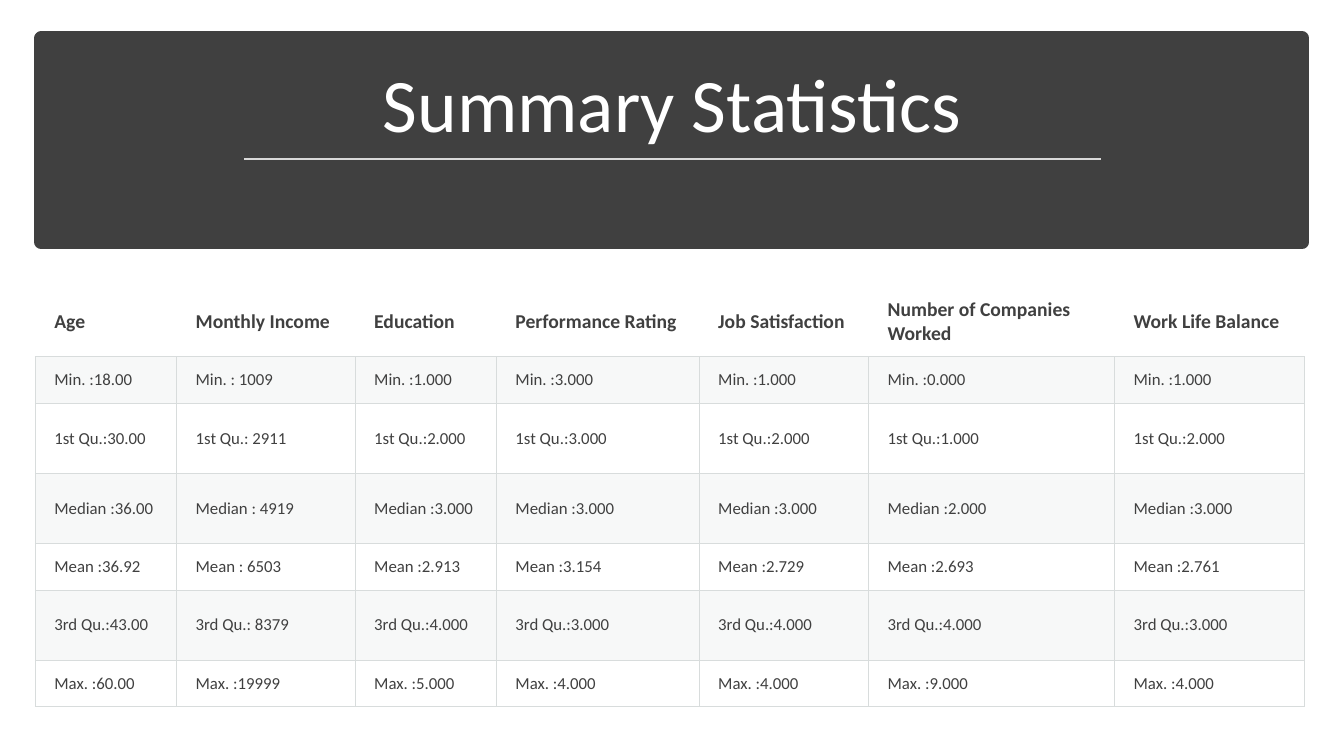
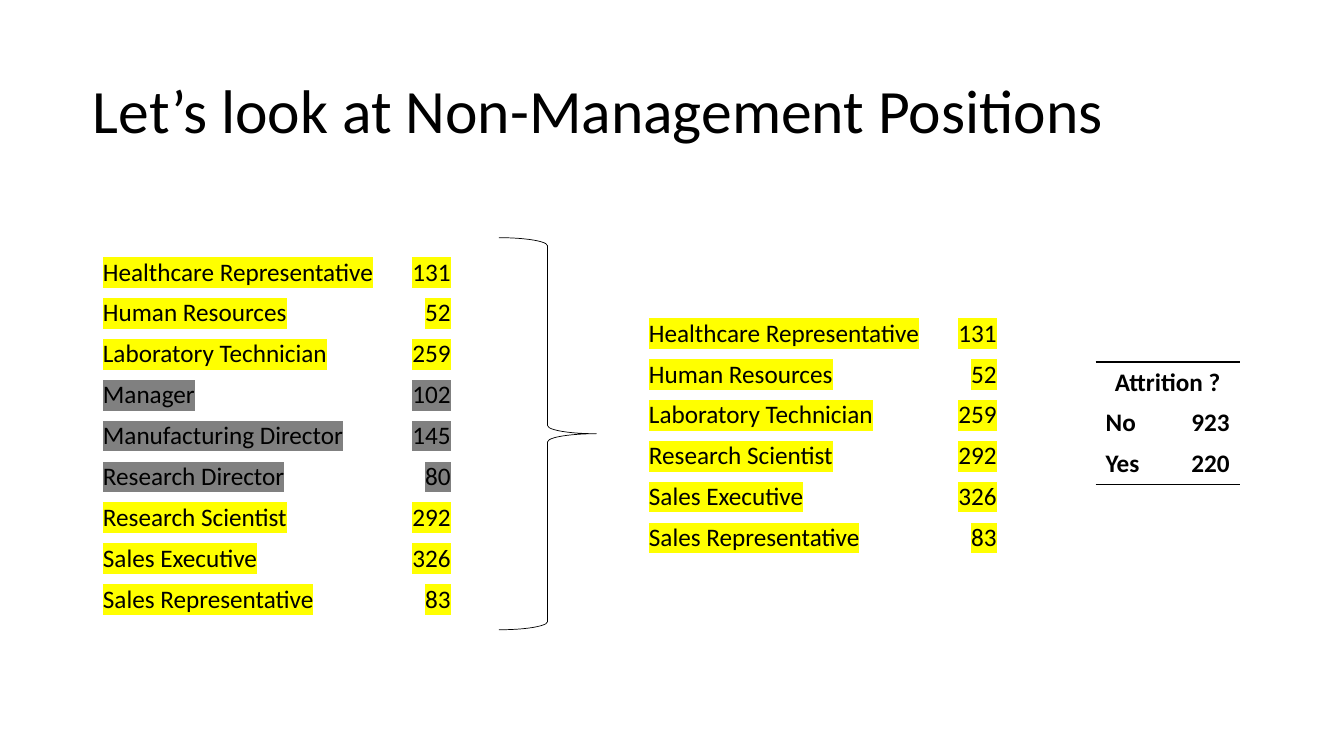
from lxml.etree import SubElement
from pptx import Presentation
from pptx.dml.color import RGBColor
from pptx.enum.shapes import MSO_CONNECTOR, MSO_SHAPE
from pptx.enum.text import MSO_ANCHOR as ANCHOR, MSO_AUTO_SIZE, PP_ALIGN as ALIGN
from pptx.oxml import parse_xml
from pptx.oxml.ns import nsdecls, qn
from pptx.util import Cm, Pt

FONT = "Calibri"
NO_STYLE = "{2D5ABB26-0587-4C30-8999-92F81FD0307C}"
COLORS = {
    "dark": "404040", "rule": "D9D9D9", "grid": "D8DCDC", "stripe": "D8DEDC",
    "white": "FFFFFF", "black": "000000", "kept": "FFFF00", "dropped": "808080",
}

STAT_LABELS = ["Min. ", "1st Qu.", "Median ", "Mean ", "3rd Qu.", "Max. "]
STATS = {
    "Age": ["18.00", "30.00", "36.00", "36.92", "43.00", "60.00"],
    "Monthly Income": [" 1009", " 2911", " 4919", " 6503", " 8379", "19999"],
    "Education": ["1.000", "2.000", "3.000", "2.913", "4.000", "5.000"],
    "Performance Rating": ["3.000", "3.000", "3.000", "3.154", "3.000", "4.000"],
    "Job Satisfaction": ["1.000", "2.000", "3.000", "2.729", "4.000", "4.000"],
    "Number of Companies Worked": ["0.000", "1.000", "2.000", "2.693", "4.000", "9.000"],
    "Work Life Balance": ["1.000", "2.000", "3.000", "2.761", "3.000", "4.000"],
}
STAT_WIDTHS = [3.56, 4.5, 3.56, 5.11, 4.27, 6.2, 4.78]
STAT_HEIGHTS = [1.75, 1.17, 1.77, 1.77, 1.17, 1.77, 1.17]

JOBS = {
    "Healthcare Representative": 131, "Human Resources": 52,
    "Laboratory Technician": 259, "Manager": 102, "Manufacturing Director": 145,
    "Research Director": 80, "Research Scientist": 292, "Sales Executive": 326,
    "Sales Representative": 83,
}
MANAGEMENT = {"Manager", "Manufacturing Director", "Research Director"}
LIST_WIDTHS = [7.47, 1.8]
LIST_ROW = 1.03


def rgb(name):
    """Return the named colour."""
    return RGBColor.from_string(COLORS[name])


def style_runs(p, size, color, bold=False):
    """Format every run of a paragraph."""
    for r in p.runs:
        r.font.name, r.font.size, r.font.bold = FONT, Pt(size), bold
        r.font.color.rgb = rgb(color)


def highlight(r, color):
    """Put a marker colour behind a run."""
    mark = parse_xml(f'<a:highlight {nsdecls("a")}>'
                     f'<a:srgbClr val="{COLORS[color]}"/></a:highlight>')
    r.font._element.find(qn("a:solidFill")).addnext(mark)


def add_title_slide(prs, text, box, size, color, align, anchor):
    """Add a title-only slide and format its title."""
    s = prs.slides.add_slide(prs.slide_layouts[5])
    sp = s.shapes.title
    sp.left, sp.top, sp.width, sp.height = map(Cm, box)
    tf = sp.text_frame
    tf.text = text
    tf.word_wrap, tf.auto_size, tf.vertical_anchor = True, MSO_AUTO_SIZE.NONE, anchor
    p = tf.paragraphs[0]
    p.alignment, p.line_spacing = align, 0.9
    style_runs(p, size, color)
    return s


def add_outline(s, kind, box, color, width, fill=None):
    """Add a preset shape with a line and an optional fill."""
    sp = s.shapes.add_shape(kind, *map(Cm, box))
    sp.shadow.inherit = False
    sp.line.color.rgb, sp.line.width = rgb(color), Pt(width)
    if fill:
        sp.fill.solid()
        sp.fill.fore_color.rgb = rgb(fill)
    else:
        sp.fill.background()
    return sp


def add_rule(s, x1, x2, y, color, width):
    """Add a horizontal line without a shadow."""
    line = s.shapes.add_connector(MSO_CONNECTOR.STRAIGHT, Cm(x1), Cm(y), Cm(x2), Cm(y))
    line.line.color.rgb, line.line.width = rgb(color), Pt(width)
    SubElement(line._element.spPr, qn("a:effectLst"))


def add_plain_table(s, left, top, widths, heights):
    """Add a table with no style and the given columns and rows."""
    frame = s.shapes.add_table(len(heights), len(widths), Cm(left), Cm(top),
                               Cm(sum(widths)), Cm(sum(heights)))
    table = frame.table
    table.first_row = table.horz_banding = False
    table._tbl.tblPr.find(qn("a:tableStyleId")).text = NO_STYLE
    for col, width in zip(table.columns, widths):
        col.width = Cm(width)
    for row, height in zip(table.rows, heights):
        row.height = Cm(height)
    return table


def set_cell(cell, text, size, color, bold=False, align=ALIGN.LEFT):
    """Write one cell and return its paragraph."""
    cell.text = text
    cell.vertical_anchor = ANCHOR.MIDDLE
    p = cell.text_frame.paragraphs[0]
    p.alignment = align
    style_runs(p, size, color, bold)
    return p


def set_borders(cell, sides, color, width):
    """Draw the given sides (from L, R, T, B in this order) of a cell."""
    tcPr = cell._tc.get_or_add_tcPr()
    for side in sides:
        tcPr.append(parse_xml(
            f'<a:ln{side} {nsdecls("a")} w="{Pt(width)}"><a:solidFill>'
            f'<a:srgbClr val="{COLORS[color]}"/></a:solidFill></a:ln{side}>'))


def tint(cell, color, alpha):
    """Fill a cell with a colour at the given opacity in percent."""
    cell.fill.solid()
    cell.fill.fore_color.rgb = rgb(color)
    clr = cell._tc.tcPr.find(f"{qn('a:solidFill')}/{qn('a:srgbClr')}")
    SubElement(clr, qn("a:alpha"), val=str(alpha * 1000))


def add_stats_table(s):
    """Add the striped table of summary statistics."""
    table = add_plain_table(s, 0.89, 7.24, STAT_WIDTHS, STAT_HEIGHTS)
    for c, (name, values) in enumerate(STATS.items()):
        column = [name] + [f"{k}:{v}" for k, v in zip(STAT_LABELS, values)]
        for r, text in enumerate(column):
            cell, head = table.cell(r, c), r == 0
            set_cell(cell, text, 14 if head else 12, "dark", bold=head)
            cell.margin_left = Cm(0.48)
            cell.margin_right = cell.margin_top = cell.margin_bottom = Cm(0.23)
            set_borders(cell, "B" if head else "LRTB", "grid", 0.75)
            if r % 2:
                tint(cell, "stripe", 20)


def add_job_list(s, left, top, jobs):
    """Add a two-column list of highlighted positions and head counts."""
    table = add_plain_table(s, left, top, LIST_WIDTHS, [LIST_ROW] * len(jobs))
    for i, (job, count) in enumerate(jobs.items()):
        marker = "dropped" if job in MANAGEMENT else "kept"
        for c, (text, align) in enumerate([(job, ALIGN.LEFT), (str(count), ALIGN.RIGHT)]):
            p = set_cell(table.cell(i, c), text, 18, "black", align=align)
            highlight(p.runs[0], marker)


def add_attrition_table(s):
    """Add the small attrition count between two rules."""
    table = add_plain_table(s, 27.61, 9.12, [1.83, 1.8], [LIST_ROW] * 3)
    table.cell(0, 0).merge(table.cell(0, 1))
    set_cell(table.cell(0, 0), "Attrition ?", 18, "black", True, ALIGN.CENTER)
    for i, (answer, count) in enumerate([("No", "923"), ("Yes", "220")], start=1):
        set_cell(table.cell(i, 0), answer, 18, "black", True)
        set_cell(table.cell(i, 1), count, 18, "black", True, ALIGN.RIGHT)
    for c in range(2):
        set_borders(table.cell(0, c), "T", "black", 1)
        set_borders(table.cell(2, c), "B", "black", 1)


def build_summary(prs):
    """Build the summary statistics slide."""
    s = add_title_slide(prs, "Summary Statistics", (1.47, 1.3, 30.94, 2.59),
                        54, "white", ALIGN.CENTER, ANCHOR.BOTTOM)
    band = add_outline(s, MSO_SHAPE.RECTANGLE, (1.04, 0.97, 31.78, 5.13),
                       "dark", 10, fill="dark")
    s.shapes.title._element.addprevious(band._element)
    add_rule(s, 6.15, 27.74, 4.01, "rule", 1.75)
    add_stats_table(s)


def build_positions(prs):
    """Build the slide that narrows the positions to non-management."""
    s = add_title_slide(prs, "Let’s look at Non-Management Positions",
                        (2.34, 1.02, 29.21, 3.68), 44, "black", ALIGN.LEFT, ANCHOR.MIDDLE)
    tf = s.shapes.title.text_frame
    tf.margin_left = tf.margin_right = tf.margin_top = tf.margin_bottom = 0
    add_job_list(s, 2.34, 6.35, JOBS)
    add_outline(s, MSO_SHAPE.RIGHT_BRACE, (12.57, 5.99, 2.46, 9.88), "black", 0.5)
    staff = {job: n for job, n in JOBS.items() if job not in MANAGEMENT}
    add_job_list(s, 16.1, 7.89, staff)
    add_attrition_table(s)


def main():
    """Build and save the presentation."""
    prs = Presentation()
    prs.slide_width, prs.slide_height = Cm(33.87), Cm(19.05)
    build_summary(prs)
    build_positions(prs)
    prs.save("out.pptx")


main()
